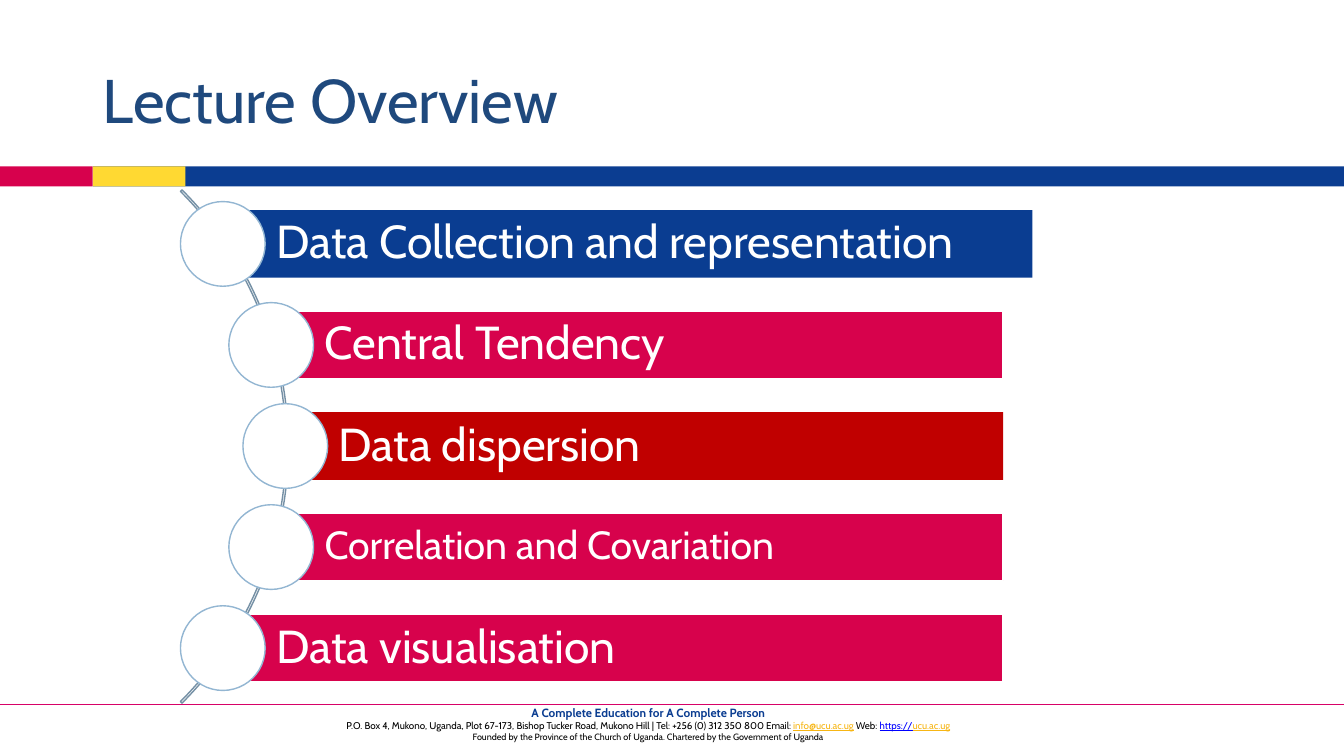
"""Build the lecture overview slide with its curved list of topics."""
from pptx import Presentation
from pptx.dml.color import RGBColor
from pptx.enum.shapes import MSO_CONNECTOR as Link, MSO_SHAPE as Kind
from pptx.enum.text import MSO_ANCHOR as Anchor, PP_ALIGN as Align
from pptx.util import Inches, Pt
from lxml import etree

FONT = "Cabin"
NAVY, ROSE, GOLD, BLACK, LINK = "0B3D91", "D7024C", "F7B615", "000000", "0000FF"
TITLE = "Lecture Overview"
BANDS = [(0.92, 12.42, NAVY), (0, 0.92, "D7014D"), (0.92, 0.92, "FFD932")]
TOPICS = [
    ("Data Collection and representation", 33, "0A3D91", 2.21, 10.24),
    ("Central Tendency", 33, ROSE, 2.69, 9.95),
    ("Data dispersion", 33, "C00000", 2.83, 9.95),
    ("Correlation and Covariation", 28, ROSE, 2.69, 9.95),
    ("Data visualisation", 33, ROSE, 2.21, 9.95),
]
FOOTER = [
    [[("A Complete Education for A Complete Person", 8.5, NAVY, True, False)],
     [("P.O. Box 4, Mukono, Uganda, Plot 67-173, Bishop Tucker Road, Mukono Hill"
       " | Tel: +256 (0) 312 350 800 Email: ", 7, BLACK, False, False),
      ("info@ucu.ac.ug", 7, GOLD, False, True),
      (" ", 7, LINK, False, False),
      ("Web: ", 7, BLACK, False, False),
      ("https://", 7, LINK, False, True),
      ("ucu.ac.ug", 7, GOLD, False, True)]],
    [[("Founded by the Province of the Church of Uganda."
       " Chartered by the Government of Uganda", 6.5, BLACK, False, False)]],
]
TOP, STEP, DISC, BAR = 2, 1.0025, 0.84, 0.67


def color(code):
    return RGBColor.from_string(code)


def add_run(para, text, size, code, bold=False, under=False):
    run = para.add_run()
    run.text = text
    font = run.font
    font.name, font.size, font.bold, font.underline = FONT, Pt(size), bold, under
    font.color.rgb = color(code)


def add_box(slide, kind, place, fill=None, line=None):
    box = slide.shapes.add_shape(kind, *map(Inches, place))
    box.shadow.inherit = False
    if fill:
        box.fill.solid()
        box.fill.fore_color.rgb = color(fill)
    else:
        box.fill.background()
    if line:
        box.line.color.rgb = color(line)
        box.line.width = Pt(1)
    else:
        box.line.fill.background()
    return box


def add_title(slide):
    title = slide.shapes.title
    title.left, title.top, title.width, title.height = map(
        Inches, (0.92, 0.4, 11.5, 1.25))
    title.text_frame.vertical_anchor = Anchor.MIDDLE
    para = title.text_frame.paragraphs[0]
    para.alignment, para.line_spacing = Align.LEFT, 0.9
    add_run(para, TITLE, 44, "1F497D")


def add_footer(slide):
    box = slide.shapes.add_textbox(*map(Inches, (2.32, 6.95, 8.22, 0.47)))
    frame = box.text_frame
    frame.word_wrap = True
    for i, lines in enumerate(FOOTER):
        para = frame.add_paragraph() if i else frame.paragraphs[0]
        para.alignment = Align.CENTER
        for j, runs in enumerate(lines):
            if j:
                para.add_line_break()
            for run in runs:
                add_run(para, *run)
    rule = slide.shapes.add_connector(
        Link.STRAIGHT, *map(Inches, (0, 6.99, 13.33, 6.99)))
    rule.line.color.rgb = color("D70167")
    rule.line.width = Pt(1)
    props = rule._element.spPr
    etree.SubElement(props, props.ln.tag.replace("}ln", "}effectLst"))


def add_topic(slide, row, text, size, fill, left, right):
    top = TOP + row * STEP
    place = left, top + (DISC - BAR) / 2, right - left, BAR
    edge = "FFFFFF" if fill == ROSE else None
    bar = add_box(slide, Kind.RECTANGLE, place, fill, edge)
    frame = bar.text_frame
    frame.word_wrap = True
    frame.vertical_anchor = Anchor.MIDDLE
    frame.margin_left = Inches(0.53)
    frame.margin_right = frame.margin_top = frame.margin_bottom = Inches(0.09)
    para = frame.paragraphs[0]
    para.alignment, para.line_spacing = Align.LEFT, 0.9
    add_run(para, text, size, "FFFFFF")
    add_box(slide, Kind.OVAL, (left - DISC / 2, top, DISC, DISC),
            "FFFFFF", "93B6D2")


def main():
    deck = Presentation()
    deck.slide_width, deck.slide_height = Inches(13.33), Inches(7.5)
    slide = deck.slides.add_slide(deck.slide_layouts[5])
    for left, width, fill in BANDS:
        add_box(slide, Kind.RECTANGLE, (left, 1.65, width, 0.2), fill)
    add_footer(slide)
    add_title(slide)
    arc = add_box(slide, Kind.BLOCK_ARC, (-4.34, 0.83, 7.2, 7.2), line="7590A5")
    for i, value in enumerate((189, 27, 0.003)):
        arc.adjustments[i] = value
    for row, topic in enumerate(TOPICS):
        add_topic(slide, row, *topic)
    deck.save("out.pptx")


if __name__ == "__main__":
    main()
